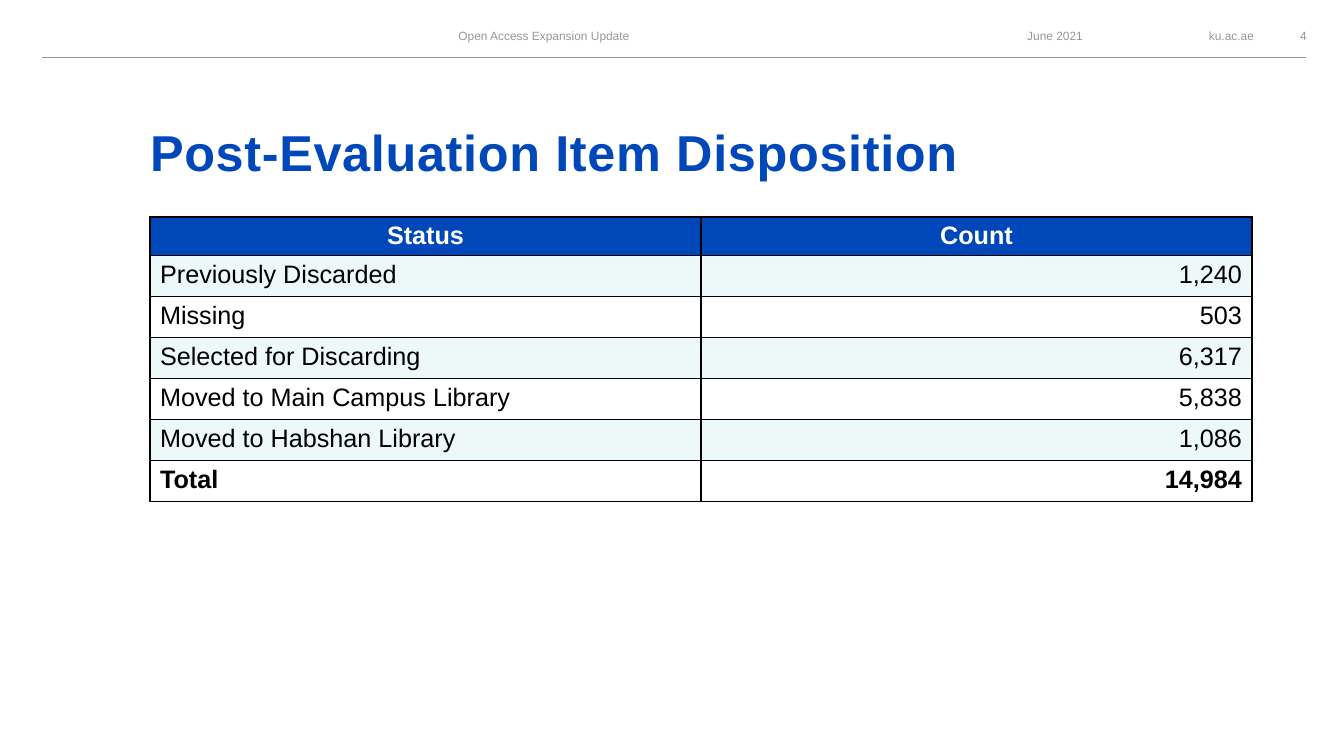
from lxml import etree
from pptx import Presentation, util as u
from pptx.dml.color import RGBColor
from pptx.enum import shapes, text
from pptx.oxml.ns import qn

COLORS = {"blue": "0047BA", "grey": "96969A", "tint": "EDF8F9",
          "white": "FFFFFF", "black": "000000"}
LEFT, CENTER, RIGHT = text.PP_ALIGN.LEFT, text.PP_ALIGN.CENTER, text.PP_ALIGN.RIGHT

ROWS = [
    ("Status", "Count"),
    ("Previously Discarded", "1,240"),
    ("Missing", "503"),
    ("Selected for Discarding", "6,317"),
    ("Moved to Main Campus Library", "5,838"),
    ("Moved to Habshan Library", "1,086"),
    ("Total", "14,984"),
]


def px(n):
    return u.Emu(round(n * 914400 / 100.8))


def rgb(name):
    return RGBColor.from_string(COLORS[name])


class SlideBuilder:
    font = "Arial"

    def __init__(self, prs):
        self.s = prs.slides.add_slide(prs.slide_layouts[5])

    def put_text(self, tf, words, size, color, align=LEFT, bold=False):
        p = tf.paragraphs[0]
        r = p.add_run()
        r.text = words
        p.alignment = align
        p.font.name, p.font.size, p.font.bold = self.font, u.Pt(size), bold
        p.font.color.rgb = rgb(color)
        return r

    def frame(self, sp, anchor):
        """Remove the insets of a text shape and fix its size."""
        tf = sp.text_frame
        tf.margin_left = tf.margin_top = tf.margin_right = tf.margin_bottom = 0
        tf.word_wrap = True
        tf.auto_size = text.MSO_AUTO_SIZE.NONE
        tf.vertical_anchor = anchor
        return tf

    def title(self, x, y, w, h, words):
        sp = self.s.shapes.title
        sp.left, sp.top, sp.width, sp.height = map(px, (x, y, w, h))
        tf = self.frame(sp, text.MSO_ANCHOR.BOTTOM)
        r = self.put_text(tf, words, 36, "blue", bold=True)
        r._r.get_or_add_rPr().set("spc", "50")

    def label(self, x, y, w, h, words, align):
        sp = self.s.shapes.add_textbox(*map(px, (x, y, w, h)))
        tf = self.frame(sp, text.MSO_ANCHOR.MIDDLE)
        self.put_text(tf, words, 8.5, "grey", align)

    def rule(self, x1, x2, y):
        line = self.s.shapes.add_connector(
            shapes.MSO_CONNECTOR.STRAIGHT, *map(px, (x1, y, x2, y)))
        line.line.color.rgb = rgb("grey")
        line.line.width = u.Pt(0.75)
        etree.SubElement(line._element.spPr, qn("a:effectLst"))

    def borders(self, cell):
        """Draw a thin black line on each side of a cell."""
        tcPr = cell._tc.get_or_add_tcPr()
        for i, side in enumerate(("lnL", "lnR", "lnT", "lnB")):
            ln = etree.Element(qn(f"a:{side}"), w=str(u.Pt(1)))
            fill = etree.SubElement(ln, qn("a:solidFill"))
            etree.SubElement(fill, qn("a:srgbClr"), val=COLORS["black"])
            tcPr.insert(i, ln)

    def table(self, x, y, col_w, head_h, row_h, rows):
        n_rows, n_cols = len(rows), len(rows[0])
        height = head_h + row_h * (n_rows - 1)
        table = self.s.shapes.add_table(
            n_rows, n_cols, *map(px, (x, y, col_w * n_cols, height))).table
        for col in table.columns:
            col.width = px(col_w)
        for i, values in enumerate(rows):
            head, total = i == 0, i == n_rows - 1
            table.rows[i].height = px(head_h if head else row_h)
            fill = "blue" if head else "tint" if i % 2 else "white"
            for j, value in enumerate(values):
                cell = table.cell(i, j)
                cell.fill.solid()
                cell.fill.fore_color.rgb = rgb(fill)
                self.borders(cell)
                align = CENTER if head else RIGHT if j else LEFT
                self.put_text(cell.text_frame, value, 18,
                              "white" if head else "black", align, head or total)


def main():
    prs = Presentation()
    prs.slide_width, prs.slide_height = px(1344), px(756)
    slide = SlideBuilder(prs)
    for x, w, words, align in [
        (317, 454, "Open Access Expansion Update", CENTER),
        (891, 192, "June 2021", RIGHT),
        (1148, 106, "ku.ac.ae", RIGHT),
        (1275, 57, "4", CENTER),
    ]:
        slide.label(x, 22, w, 27, words, align)
    slide.rule(42, 1306, 58)
    slide.title(150, 59, 1102, 123, "Post-Evaluation Item Disposition")
    slide.table(150, 217, 551, 38, 41, ROWS)
    prs.save("out.pptx")


if __name__ == "__main__":
    main()
